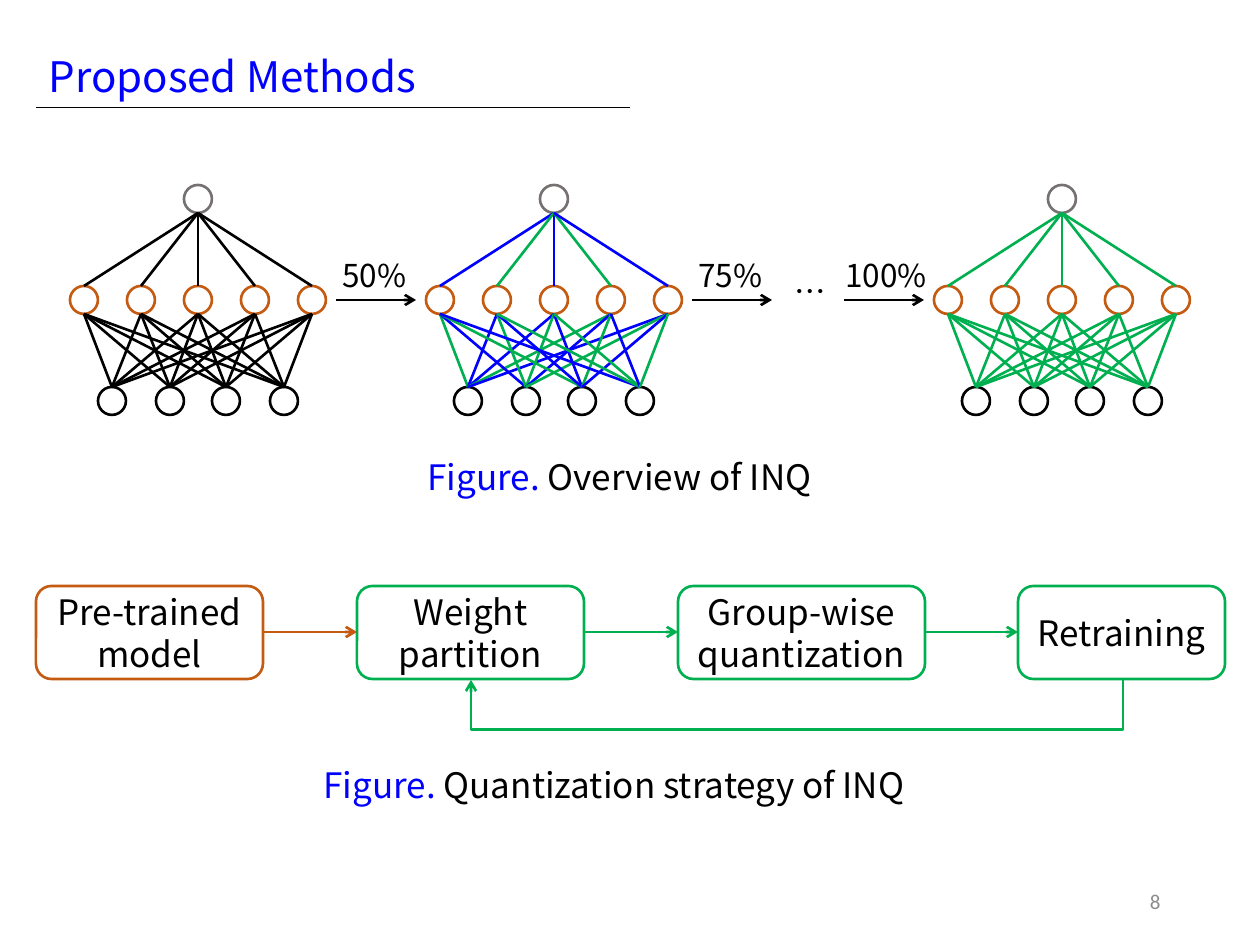
from lxml import etree
from pptx import Presentation
from pptx import util as u
from pptx.dml.color import RGBColor
from pptx.enum import shapes, text
from pptx.oxml.ns import qn

PX_PER_INCH = 126
FONT = "Noto Sans CJK SC"
COLORS = {
    "black": "000000", "blue": "0000FF", "green": "00B050",
    "orange": "C55A11", "gray": "767171", "page": "8C8C8C",
}


def px(length):
    return u.Emu(round(length * 914400 / PX_PER_INCH))


def rgb(name):
    return RGBColor.from_string(COLORS[name])


class SlideBuilder:
    def __init__(self, slide):
        self.slide = slide

    def format_paragraph(self, paragraph, size, color="black", font=FONT,
                         align=text.PP_ALIGN.LEFT, spacing=None):
        paragraph.alignment = align
        paragraph.line_spacing = spacing or u.Pt(size * 1.2)
        paragraph.font.size = u.Pt(size)
        paragraph.font.color.rgb = rgb(color)
        paragraph.font.name = font
        # Symbols such as the ellipsis use the East Asian font
        defaults = paragraph._p.pPr.find(qn("a:defRPr"))
        etree.SubElement(defaults, qn("a:ea")).set("typeface", font)

    def title(self, words, x, y, w, h):
        title = self.slide.shapes.title
        title.left, title.top, title.width, title.height = map(px, (x, y, w, h))
        frame = title.text_frame
        frame.text = words
        frame.auto_size = text.MSO_AUTO_SIZE.NONE
        frame.vertical_anchor = text.MSO_ANCHOR.MIDDLE
        self.format_paragraph(frame.paragraphs[0], 24, "blue", spacing=0.9)

    def label(self, parts, x, y, w, h, size=18):
        """One line of text made of (words, color) parts."""
        frame = self.slide.shapes.add_textbox(*map(px, (x, y, w, h))).text_frame
        frame.word_wrap = False
        frame.auto_size = text.MSO_AUTO_SIZE.SHAPE_TO_FIT_TEXT
        line = frame.paragraphs[0]
        for words, color in parts:
            run = line.add_run()
            run.text = words
            run.font.color.rgb = rgb(color)
        self.format_paragraph(line, size)

    def page_number(self, number, x, y, w, h):
        frame = self.slide.shapes.add_textbox(*map(px, (x, y, w, h))).text_frame
        frame.word_wrap = True
        frame.vertical_anchor = text.MSO_ANCHOR.MIDDLE
        frame.text = number
        self.format_paragraph(frame.paragraphs[0], 12, "page", "Calibri",
                              text.PP_ALIGN.RIGHT)

    def outline(self, preset, color, x, y, w, h):
        shape = self.slide.shapes.add_shape(preset, *map(px, (x, y, w, h)))
        shape.shadow.inherit = False
        shape.fill.background()
        shape.line.color.rgb = rgb(color)
        shape.line.width = u.Pt(1.5)
        return shape

    def neuron(self, color, center_x, top):
        self.outline(shapes.MSO_SHAPE.OVAL, color,
                     center_x - NEURON // 2, top, NEURON, NEURON)

    def step(self, words, color, x, y, w, h):
        box = self.outline(shapes.MSO_SHAPE.ROUNDED_RECTANGLE, color, x, y, w, h)
        frame = box.text_frame
        frame.word_wrap = True
        frame.vertical_anchor = text.MSO_ANCHOR.MIDDLE
        frame.text = words
        self.format_paragraph(frame.paragraphs[0], 20, align=text.PP_ALIGN.CENTER)

    def line(self, color, start, end, width=1.5, arrow=False,
             kind=shapes.MSO_CONNECTOR.STRAIGHT):
        connector = self.slide.shapes.add_connector(
            kind, *map(px, (*start, *end)))
        connector.line.color.rgb = rgb(color)
        connector.line.width = u.Pt(width)
        properties = connector._element.spPr
        if arrow:
            outline = properties.find(qn("a:ln"))
            etree.SubElement(outline, qn("a:tailEnd")).set("type", "arrow")
        etree.SubElement(properties, qn("a:effectLst"))
        return connector

    def return_arrow(self, color, start, end, depth):
        """Elbow that leaves downward, runs left and comes back up."""
        (x1, y1), (x2, y2) = start, end
        mid_x, mid_y = (x1 + x2) // 2, (y1 + y2) // 2
        drop, run = y2 - y1, x1 - x2
        # The elbow is laid out upright and turned a quarter about its centre
        elbow = self.line(
            color, (mid_x - drop // 2, mid_y - run // 2),
            (mid_x + drop // 2, mid_y + run // 2),
            arrow=True, kind=shapes.MSO_CONNECTOR.ELBOW)
        properties = elbow._element.spPr
        properties.find(qn("a:xfrm")).set("rot", "5400000")
        geometry = properties.find(qn("a:prstGeom"))
        adjustments = geometry.find(qn("a:avLst"))
        if adjustments is None:
            adjustments = etree.SubElement(geometry, qn("a:avLst"))
        guide = etree.SubElement(adjustments, qn("a:gd"))
        guide.set("name", "adj1")
        guide.set("fmla", f"val {round(depth / drop * 100000)}")

    def network(self, center_x, output_weights, input_weights):
        """Weights are color names, one per hidden neuron."""
        hidden = [center_x + (i - 2) * NEURON_GAP for i in range(5)]
        inputs = [center_x + round((i - 1.5) * NEURON_GAP) for i in range(4)]
        self.neuron("gray", center_x, OUTPUT_TOP)
        for x in hidden:
            self.neuron("orange", x, HIDDEN_TOP)
        for x in inputs:
            self.neuron("black", x, INPUT_TOP)
        for x, color in zip(hidden, output_weights):
            self.line(color, (x, HIDDEN_TOP), (center_x, OUTPUT_TOP + NEURON))
        for input_x, weights in zip(inputs, input_weights):
            for x, color in zip(hidden, weights):
                self.line(color, (input_x, INPUT_TOP), (x, HIDDEN_TOP + NEURON))


NEURON, NEURON_GAP = 28, 57
OUTPUT_TOP, HIDDEN_TOP, INPUT_TOP = 185, 286, 387
STEP_TOP, STEP_HEIGHT = 586, 93


def main():
    deck = Presentation()
    deck.slide_width, deck.slide_height = u.Inches(10), u.Inches(7.5)
    page = SlideBuilder(deck.slides.add_slide(deck.slide_layouts[5]))

    # Heading
    page.line("black", (36, 107), (630, 107), width=0.5)
    page.title("Proposed Methods", 36, 52, 466, 54)

    # Networks: untouched, half quantized, fully quantized
    even = ["green", "blue", "blue", "green", "blue"]
    odd = ["blue", "green", "green", "blue", "green"]
    alternating = ["blue", "green", "blue", "green", "blue"]
    page.network(198, ["black"] * 5, [["black"] * 5] * 4)
    page.network(554, alternating, [even, odd, even, odd])
    page.network(1062, ["green"] * 5, [["green"] * 5] * 4)

    # Quantized share at each stage
    stages = [("50%", 336, 330, 91), ("75%", 692, 686, 91),
              ("100%", 844, 833, 110)]
    for share, arrow_x, label_x, label_width in stages:
        page.line("black", (arrow_x, 300), (arrow_x + 80, 300), arrow=True)
        page.label([(share, "black")], label_x, 250, label_width, 50)
    page.label([("…", "black")], 782, 266, 52, 50)

    # Strategy steps
    steps = [("Pre-trained model", "orange", 36, 227),
             ("Weight partition", "green", 357, 227),
             ("Group-wise quantization", "green", 678, 247),
             ("Retraining", "green", 1018, 207)]
    for words, color, x, width in steps:
        page.step(words, color, x, STEP_TOP, width, STEP_HEIGHT)
    middle = STEP_TOP + STEP_HEIGHT // 2
    for (_, color, x, width), (_, _, next_x, _) in zip(steps, steps[1:]):
        page.line(color, (x + width, middle), (next_x, middle), arrow=True)
    bottom = STEP_TOP + STEP_HEIGHT
    page.return_arrow("green", (1123, bottom - 1), (471, bottom + 1), 52)

    # Captions
    captions = [("Overview of INQ", 415, 449, 431),
                ("Quantization strategy of INQ", 311, 757, 639)]
    for words, x, y, width in captions:
        page.label([("Figure. ", "blue"), (words, "black")],
                   x, y, width, 55, size=20)

    page.page_number("8", 890, 876, 283, 50)
    deck.save("out.pptx")


if __name__ == "__main__":
    main()
